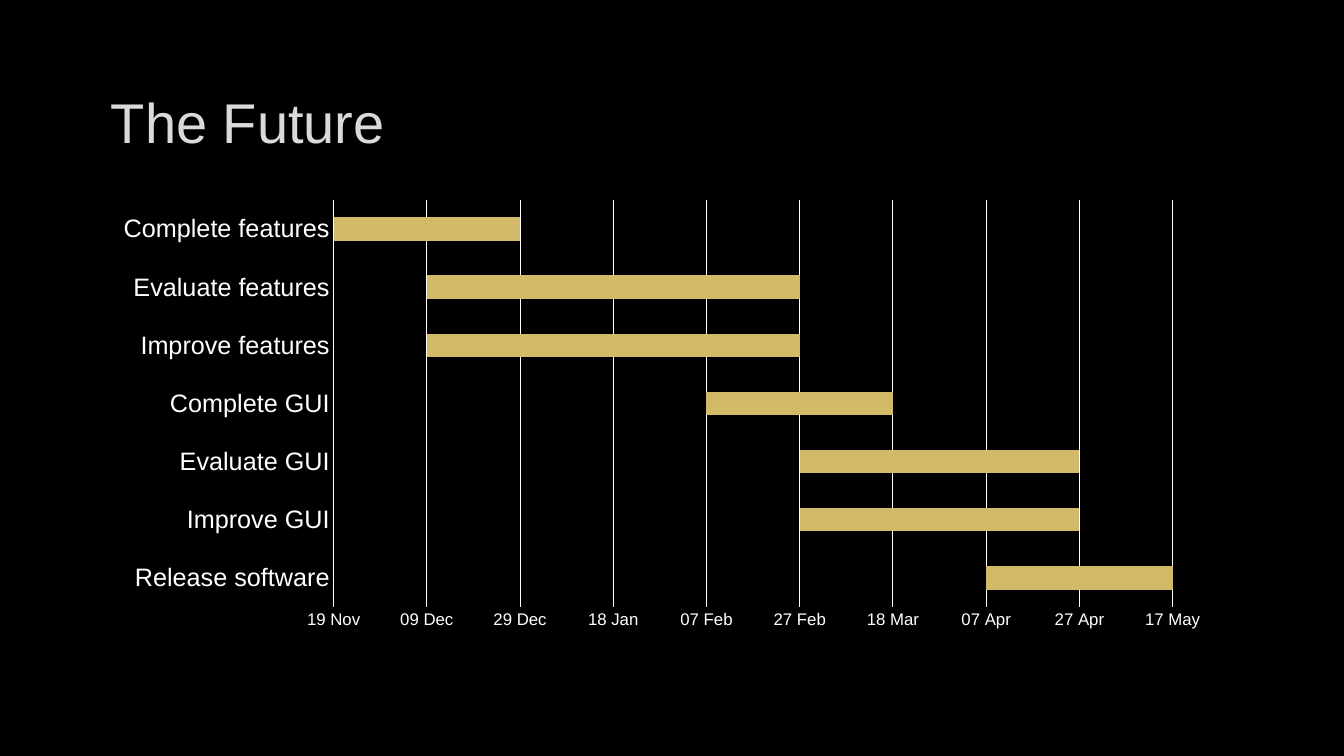
from lxml import etree
from pptx import Presentation
from pptx.chart.data import CategoryChartData as ChartData
from pptx.dml.color import RGBColor as RGB
from pptx.enum.chart import XL_CHART_TYPE as ChartType, XL_TICK_MARK as Tick
from pptx.enum.text import MSO_ANCHOR as Anchor, MSO_AUTO_SIZE as AutoSize, PP_ALIGN as Align
from pptx.oxml.ns import qn
from pptx.util import Inches, Pt

COLORS = {"background": "000000", "title": "DADADA", "text": "FFFFFF", "bar": "D3BA68"}
FIRST_DAY, LAST_DAY, STEP = 43788, 43978, 20
TASKS = [
    ("Release software", 140, 40),
    ("Improve GUI", 100, 60),
    ("Evaluate GUI", 100, 60),
    ("Complete GUI", 80, 40),
    ("Improve features", 20, 80),
    ("Evaluate features", 20, 80),
    ("Complete features", 0, 40),
]


class Deck:
    """Hold the slide style and draw the elements of the current slide."""

    def __init__(self, prs, font="Arial"):
        self.font = font
        self.s = prs.slides.add_slide(prs.slide_layouts[5])
        fill = self.s.background.fill
        fill.solid()
        fill.fore_color.rgb = self.color("background")

    def color(self, name):
        return RGB.from_string(COLORS[name])

    def style(self, font, size, color):
        font.name, font.size = self.font, Pt(size)
        font.color.rgb = self.color(color)

    def line(self, fmt):
        fmt.line.color.rgb = self.color("text")
        fmt.line.width = Pt(0.75)

    def place(self, x, y, w, h):
        return [Inches(v) for v in (x, y, w, h)]

    def title(self, text, *box):
        sp = self.s.shapes.title
        sp.left, sp.top, sp.width, sp.height = self.place(*box)
        tf = sp.text_frame
        tf.text = text
        tf.auto_size = AutoSize.NONE
        tf.vertical_anchor = Anchor.MIDDLE
        p = tf.paragraphs[0]
        p.alignment = Align.LEFT
        self.style(p.font, 40, "title")

    def axis(self, axis, size):
        axis.major_tick_mark = axis.minor_tick_mark = Tick.NONE
        self.style(axis.tick_labels.font, size, "text")

    def plot_area(self, chart, **fractions):
        area = chart.element.find(".//" + qn("c:plotArea"))
        layout = area.find(qn("c:layout"))
        if layout is None:
            layout = etree.Element(qn("c:layout"))
            area.insert(0, layout)
        manual = etree.SubElement(layout, qn("c:manualLayout"))
        settings = {"layoutTarget": "inner", "xMode": "edge", "yMode": "edge", **fractions}
        for tag, val in settings.items():
            etree.SubElement(manual, qn("c:" + tag)).set("val", str(val))

    def gantt(self, tasks, *box):
        data = ChartData()
        data.categories = [name for name, _, _ in tasks]
        data.add_series("Start", [FIRST_DAY + start for _, start, _ in tasks])
        data.add_series("Days", [days for _, _, days in tasks])
        frame = self.s.shapes.add_chart(ChartType.BAR_STACKED, *self.place(*box), data)
        chart = frame.chart
        chart.has_legend = chart.has_title = False
        self.style(chart.font, 10, "text")

        plot = chart.plots[0]
        plot.gap_width, plot.overlap, plot.vary_by_categories = 150, 100, False
        start, days = plot.series
        start.format.fill.background()
        days.format.fill.solid()
        days.format.fill.fore_color.rgb = self.color("bar")

        self.axis(chart.category_axis, 18)
        self.line(chart.category_axis.format)
        dates = chart.value_axis
        self.axis(dates, 12)
        dates.minimum_scale, dates.maximum_scale = FIRST_DAY, LAST_DAY
        dates.major_unit = STEP
        dates.has_major_gridlines = True
        self.line(dates.major_gridlines.format)
        dates.format.line.fill.background()
        dates.tick_labels.number_format = r"[$-809]dd\ mmm;@"
        dates.tick_labels.number_format_is_linked = False
        self.plot_area(chart, x=0.204, y=0.021, w=0.776, h=0.91)


def main():
    prs = Presentation()
    prs.slide_width, prs.slide_height = Inches(13.33), Inches(7.5)
    deck = Deck(prs)
    deck.title("The Future", 1, 0.67, 11.32, 1.06)
    deck.gantt(TASKS, 1, 1.89, 11.32, 4.44)
    prs.save("out.pptx")


if __name__ == "__main__":
    main()
